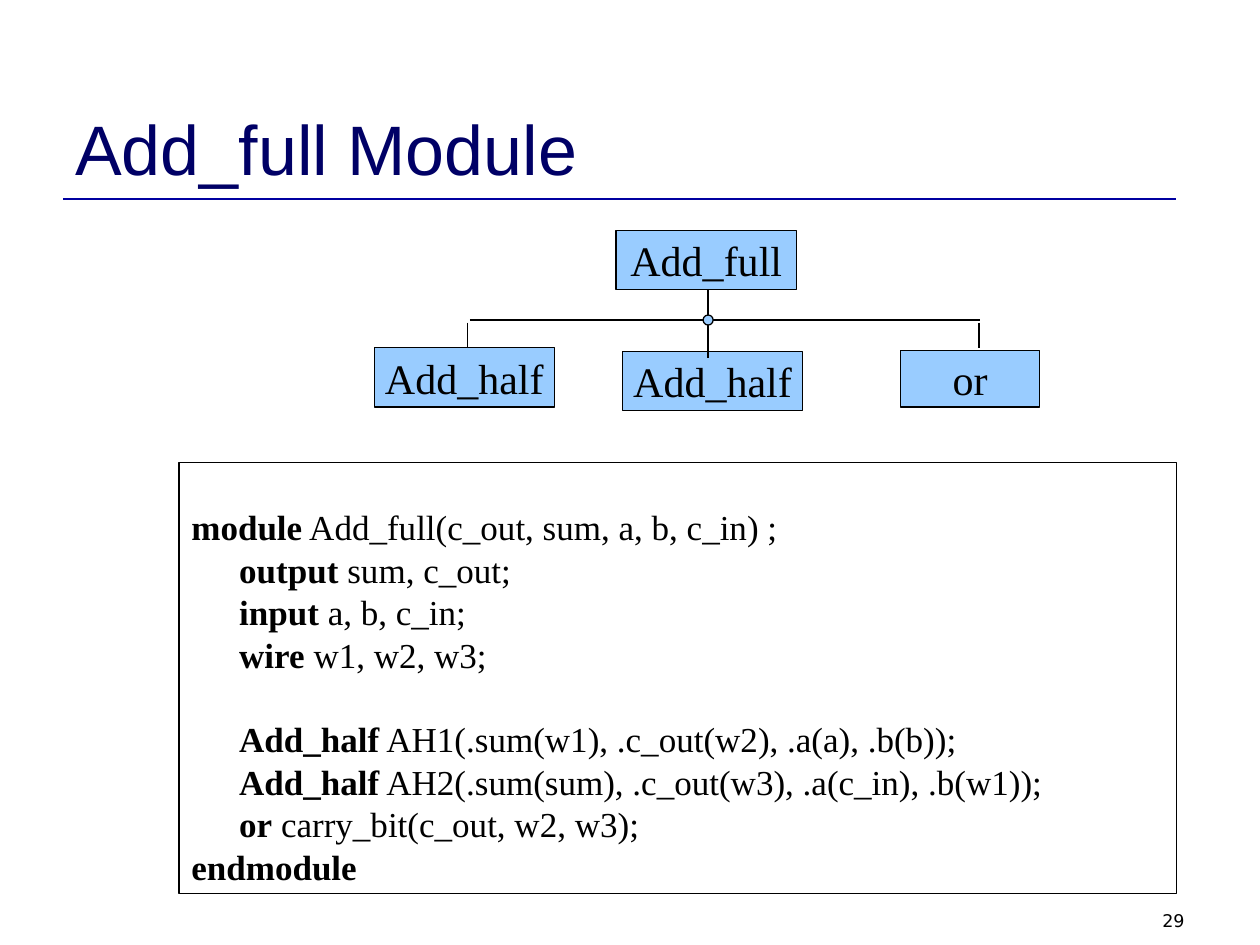
from lxml import etree
from pptx import Presentation
from pptx.dml.color import RGBColor
from pptx.enum.shapes import MSO_CONNECTOR, MSO_SHAPE
from pptx.enum.text import MSO_ANCHOR, PP_ALIGN
from pptx.oxml.ns import qn
from pptx.util import Inches, Pt

STRAIGHT = MSO_CONNECTOR.STRAIGHT
RECTANGLE, OVAL = MSO_SHAPE.RECTANGLE, MSO_SHAPE.OVAL
TOP, MIDDLE, BOTTOM = MSO_ANCHOR.TOP, MSO_ANCHOR.MIDDLE, MSO_ANCHOR.BOTTOM
LEFT, CENTER, RIGHT = PP_ALIGN.LEFT, PP_ALIGN.CENTER, PP_ALIGN.RIGHT

SERIF = "Times New Roman"
BLACK, BLUE = "000000", "99CCFF"
LINE_GAP, BLANK_GAP = 5, 29.3
CODE_LINES = [
    ("module", " Add_full(c_out, sum, a, b, c_in) ;", 0, 0),
    ("output", " sum, c_out;", 0.38, LINE_GAP),
    ("input", " a, b, c_in;", 0.38, LINE_GAP),
    ("wire", " w1, w2, w3;", 0.38, LINE_GAP),
    ("Add_half", " AH1(.sum(w1), .c_out(w2), .a(a), .b(b));", 0.38, BLANK_GAP),
    ("Add_half", " AH2(.sum(sum), .c_out(w3), .a(c_in), .b(w1));", 0.38, LINE_GAP),
    ("or", " carry_bit(c_out, w2, w3);", 0.38, LINE_GAP),
    ("endmodule", "", 0, LINE_GAP),
]


def color(hex_string):
    """Return the colour for a hex string."""
    return RGBColor.from_string(hex_string)


def format_run(run, size, font_name, hex_string, bold=False):
    """Set the font of one run."""
    run.font.size = Pt(size)
    run.font.name = font_name
    run.font.bold = bold
    run.font.color.rgb = color(hex_string)


def add_line(slide, start, end, hex_string=BLACK, width=0.75):
    """Draw a straight line without a shadow between two points."""
    line = slide.shapes.add_connector(
        STRAIGHT, *[Inches(value) for value in (*start, *end)])
    line.line.color.rgb = color(hex_string)
    line.line.width = Pt(width)
    etree.SubElement(line._element.spPr, qn("a:effectLst"))


def add_outlined_shape(slide, kind, box, fill=None):
    """Draw a preset shape with a thin black outline."""
    shape = slide.shapes.add_shape(kind, *[Inches(value) for value in box])
    shape.shadow.inherit = False
    if fill:
        shape.fill.solid()
        shape.fill.fore_color.rgb = color(fill)
    else:
        shape.fill.background()
    shape.line.color.rgb = color(BLACK)
    shape.line.width = Pt(0.75)
    return shape


def write_line(shape, text, size, font_name, hex_string, alignment, anchor, wrap):
    """Put a single formatted line of text in a shape."""
    frame = shape.text_frame
    frame.text = text
    frame.word_wrap = wrap
    frame.vertical_anchor = anchor
    paragraph = frame.paragraphs[0]
    paragraph.alignment = alignment
    format_run(paragraph.runs[0], size, font_name, hex_string)


def add_label(slide, box, text, size, font_name, hex_string, alignment, anchor):
    """Add a text box holding one line."""
    label = slide.shapes.add_textbox(*[Inches(value) for value in box])
    write_line(label, text, size, font_name, hex_string, alignment, anchor, True)


def add_title(slide, box):
    """Add the title and the rule below it."""
    left, top, width, height = box
    add_label(slide, box, "Add_full Module", 40, "Arial", "000066", LEFT, BOTTOM)
    rule = top + height + 0.03
    add_line(slide, (left, rule), (left + width - 0.17, rule), "0000A0", 1.5)


def add_hierarchy(slide, box):
    """Draw the module tree inside the given box."""
    left, top, width, height = box
    modules = [
        ("Add_full", 1.92, 0, 1.43, 0.47),
        ("Add_half", 1.97, 0.96, 1.43, 0.47),
        ("or", width - 1.1, 0.95, 1.1, 0.45),
        ("Add_half", 0, 0.93, 1.43, 0.47),
    ]
    for name, across, down, module_width, module_height in modules:
        module_box = (left + across, top + down, module_width, module_height)
        shape = add_outlined_shape(slide, RECTANGLE, module_box, BLUE)
        write_line(shape, name, 24, SERIF, BLACK, CENTER, MIDDLE, False)

    trunk, bus = left + 2.65, top + height / 2
    add_line(slide, (trunk, top + 0.47), (trunk, top + 1.01))
    for branch in (left + 0.74, left + 4.8):
        add_line(slide, (branch, bus + 0.02), (branch, bus + 0.22))
    add_line(slide, (left + 0.76, bus), (left + 4.81, bus))
    add_outlined_shape(slide, OVAL, (trunk - 0.04, bus - 0.04, 0.08, 0.08), BLUE)


def add_code(slide, box):
    """Add the framed module listing."""
    frame = add_outlined_shape(slide, RECTANGLE, box).text_frame
    frame.word_wrap = True
    frame.vertical_anchor = TOP
    frame.margin_top, frame.margin_bottom = Inches(0.41), 0
    for index, (keyword, rest, indent, gap) in enumerate(CODE_LINES):
        paragraph = frame.add_paragraph() if index else frame.paragraphs[0]
        paragraph._p.get_or_add_pPr().set("marL", str(Inches(indent)))
        paragraph.alignment = LEFT
        paragraph.line_spacing = 0.8
        paragraph.space_before = Pt(gap)
        for text, bold in ((keyword, True), (rest, False)):
            if text:
                run = paragraph.add_run()
                run.text = text
                format_run(run, 20, SERIF, BLACK, bold)


def main():
    """Build and save the slide."""
    presentation = Presentation()
    presentation.slide_width, presentation.slide_height = Inches(10), Inches(7.5)
    slide = presentation.slides.add_slide(presentation.slide_layouts[6])
    add_title(slide, (0.5, 0.3, 9, 1.25))
    add_label(slide, (7.17, 7.17, 2.33, 0.25), "29", 10, "DejaVu Sans",
              BLACK, RIGHT, TOP)
    add_code(slide, (1.42, 3.67, 7.92, 3.42))
    add_hierarchy(slide, (2.97, 1.83, 5.28, 1.42))
    presentation.save("out.pptx")


if __name__ == "__main__":
    main()
